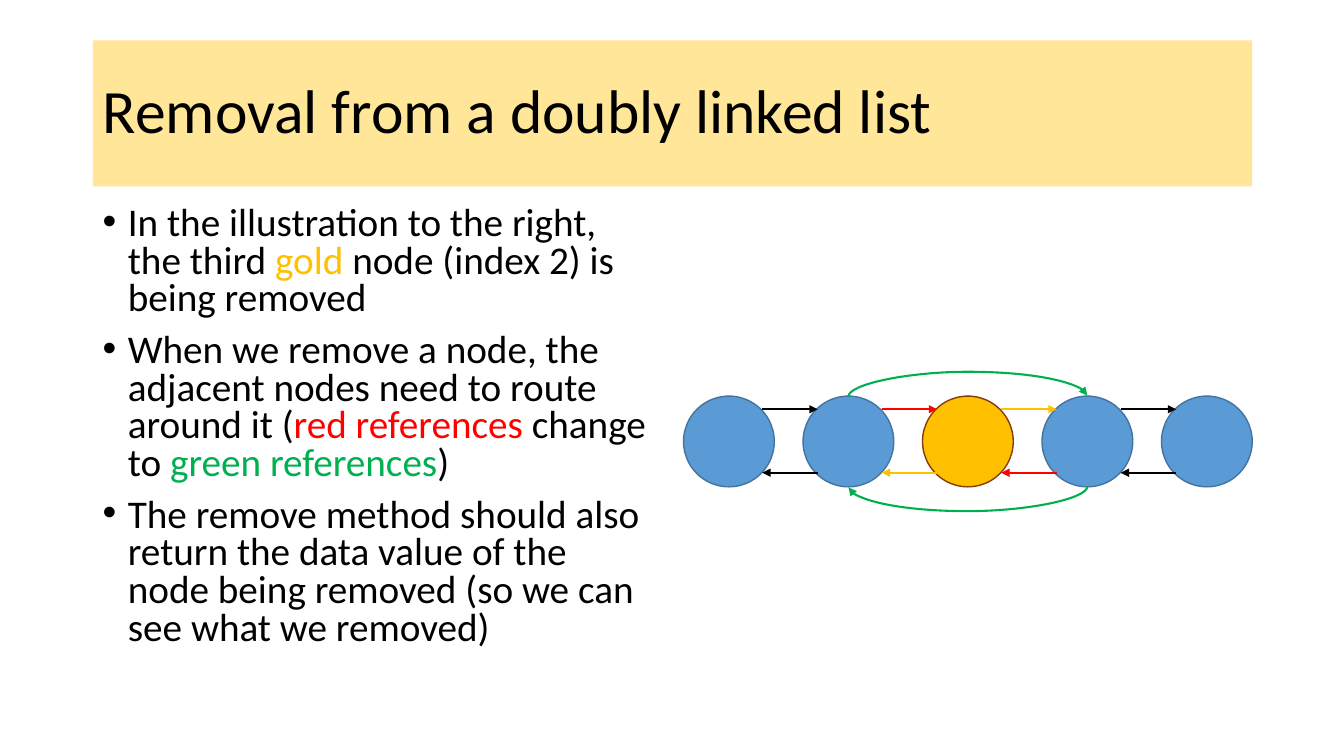
from dataclasses import dataclass
from lxml import etree
from pptx import Presentation
from pptx.dml.color import RGBColor
from pptx.enum.shapes import MSO_CONNECTOR as CONN, MSO_SHAPE as SHAPE
from pptx.enum.text import MSO_ANCHOR, MSO_AUTO_SIZE, PP_ALIGN
from pptx.oxml.ns import qn
from pptx.util import Inches, Pt


@dataclass(frozen=True)
class Theme:
    font: str = "Calibri"
    title_size: int = 44
    body_size: int = 28
    black: str = "000000"
    banner: str = "FFE699"
    node: str = "5B9BD5"
    node_edge: str = "43739E"
    gold: str = "FFC000"
    gold_edge: str = "843C0B"
    red: str = "FF0000"
    green: str = "00B050"
    edge_width: float = 1
    link_width: float = 1.5


def add_run(p, text, *, size, color, font):
    r = p.add_run()
    r.text = text
    r.font.name = font
    r.font.size = Pt(size)
    r.font.color.rgb = RGBColor.from_string(color)


class SlideBuilder:
    def __init__(self, s, theme):
        self.s = s
        self.theme = theme

    def title(self, text, left, top, width, height):
        t = self.theme
        sp = self.s.shapes.title
        sp.left, sp.top, sp.width, sp.height = map(Inches, (left, top, width, height))
        sp.fill.solid()
        sp.fill.fore_color.rgb = RGBColor.from_string(t.banner)
        tf = sp.text_frame
        tf.word_wrap = True
        tf.auto_size = MSO_AUTO_SIZE.NONE
        tf.vertical_anchor = MSO_ANCHOR.MIDDLE
        p = tf.paragraphs[0]
        p.alignment = PP_ALIGN.LEFT
        p.line_spacing = 0.9
        add_run(p, text, size=t.title_size, color=t.black, font=t.font)

    def bullets(self, items, left, top, width, height):
        t = self.theme
        sp = self.s.shapes.add_textbox(*map(Inches, (left, top, width, height)))
        tf = sp.text_frame
        tf.word_wrap = True
        for i, runs in enumerate(items):
            p = tf.add_paragraph() if i else tf.paragraphs[0]
            p.line_spacing = 0.8
            p.space_before = Pt(10)
            pPr = p._p.get_or_add_pPr()
            pPr.set("marL", str(Inches(0.25)))
            pPr.set("indent", str(Inches(-0.25)))
            etree.SubElement(pPr, qn("a:buFont"), typeface="Arial")
            etree.SubElement(pPr, qn("a:buChar"), char="•")
            for text, color in runs:
                add_run(p, text, size=t.body_size, color=color, font=t.font)

    def node(self, left, top, size, fill, edge):
        sp = self.s.shapes.add_shape(SHAPE.OVAL, *map(Inches, (left, top, size, size)))
        sp.shadow.inherit = False
        sp.fill.solid()
        sp.fill.fore_color.rgb = RGBColor.from_string(fill)
        sp.line.color.rgb = RGBColor.from_string(edge)
        sp.line.width = Pt(self.theme.edge_width)

    def arrow(self, x1, y1, x2, y2, color, kind=CONN.STRAIGHT):
        c = self.s.shapes.add_connector(kind, *map(Inches, (x1, y1, x2, y2)))
        c.line.color.rgb = RGBColor.from_string(color)
        c.line.width = Pt(self.theme.link_width)
        spPr = c._element.spPr
        etree.SubElement(spPr.find(qn("a:ln")), qn("a:tailEnd"), type="triangle")
        etree.SubElement(spPr, qn("a:effectLst"))
        return c

    def bypass(self, x1, x2, y, bulge, color):
        depth = 0.01
        center = (x1 + x2) / 2
        dx = depth / 2 if x1 < x2 else -depth / 2
        dy = (x2 - x1) / 2
        c = self.arrow(center + dx, y + dy, center - dx, y - dy, color, CONN.CURVE)
        spPr = c._element.spPr
        spPr.find(qn("a:xfrm")).set("rot", str(90 * 60000))
        geom = spPr.find(qn("a:prstGeom"))
        guides = geom.find(qn("a:avLst"))
        if guides is None:
            guides = etree.SubElement(geom, qn("a:avLst"))
        etree.SubElement(guides, qn("a:gd"), name="adj1",
                         fmla=f"val {round(bulge / depth * 100000)}")


prs = Presentation()
prs.slide_width, prs.slide_height = Inches(13.33), Inches(7.5)
theme = Theme()
slide = SlideBuilder(prs.slides.add_slide(prs.slide_layouts[5]), theme)
black, gold, red, green = theme.black, theme.gold, theme.red, theme.green

slide.title("Removal from a doubly linked list", 0.92, 0.4, 11.5, 1.45)
slide.bullets([
    [("In the illustration to the right, the third ", black), ("gold", gold),
     (" node (index 2) is being removed", black)],
    [("When we remove a node, the adjacent nodes need to route around it (", black),
     ("red references ", red), ("change to ", black),
     ("green references", green), (")", black)],
    [("The remove method should also return the data value of the node being "
      "removed (so we can see what we removed)", black)],
], 0.92, 2, 5.67, 4.76)

size, top = 0.9, 3.93
first, last, count, removed = 6.78, 11.52, 5, 2
pitch = (last - first) / (count - 1)
lefts = [first + i * pitch for i in range(count)]

for i, left in enumerate(lefts):
    colors = (gold, theme.gold_edge) if i == removed else (theme.node, theme.node_edge)
    slide.node(left, top, size, *colors)

next_colors = [black, red, gold, black]
prev_colors = [black, gold, red, black]
for left, next_color, prev_color in zip(lefts, next_colors, prev_colors):
    start, end = left + 0.78, left + 1.33
    slide.arrow(start, top + 0.13, end, top + 0.13, next_color)
    slide.arrow(end, top + 0.76, start, top + 0.76, prev_color)

before, after = (lefts[i] + size / 2 for i in (removed - 1, removed + 1))
slide.bypass(before, after, top, 0.25, green)
slide.bypass(after, before, top + size, 0.25, green)

prs.save("out.pptx")
